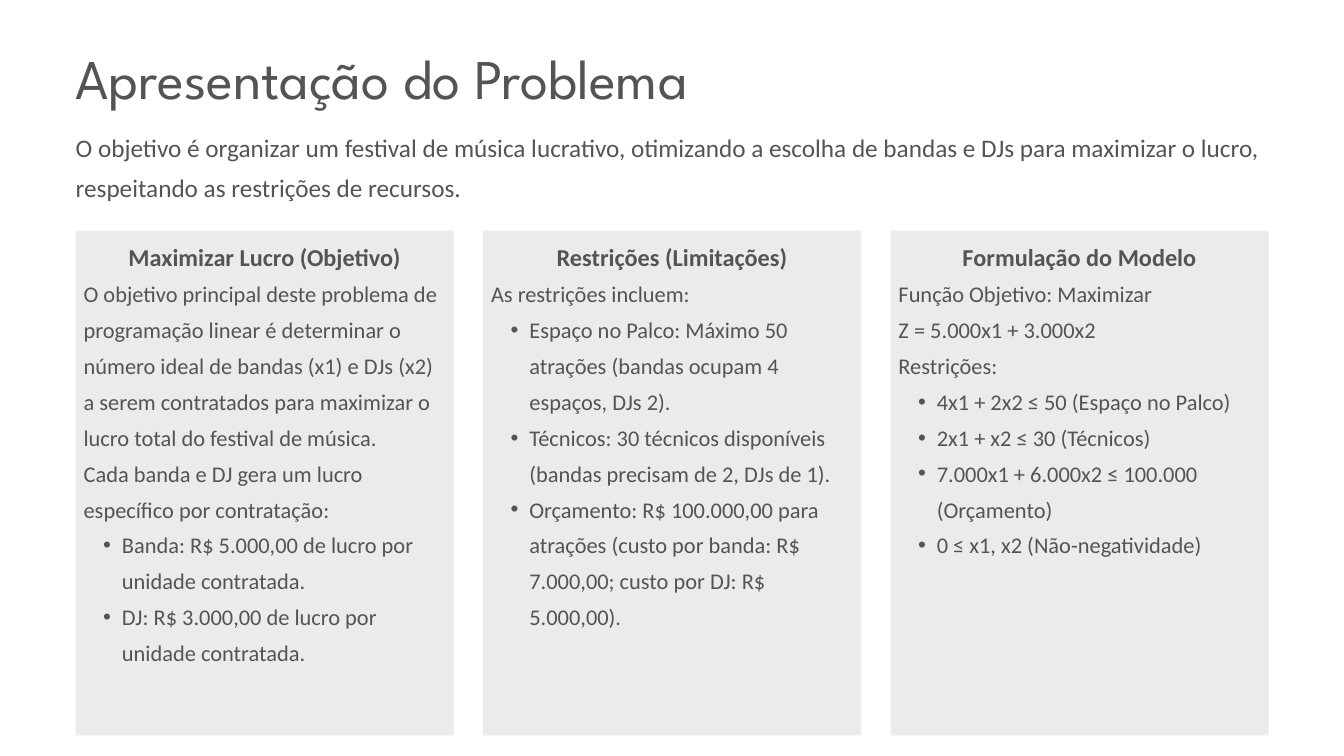
import pptx
import pptx.dml.color
import pptx.enum.shapes
import pptx.enum.text
import pptx.oxml.ns
import pptx.util
from lxml import etree
from pptx.util import Cm

INK = pptx.dml.color.RGBColor(0x54, 0x54, 0x54)
CARD = pptx.dml.color.RGBColor(0xEB, 0xEB, 0xEB)
WHITE = pptx.dml.color.RGBColor(0xFF, 0xFF, 0xFF)
ALIGN = pptx.enum.text.PP_ALIGN

MARGIN = Cm(2.86)
CARD_TOP, CARD_WIDTH, CARD_HEIGHT = Cm(8.72), Cm(14.29), Cm(19.08)
CARD_STEP = Cm(15.4)
PADDING_LEFT, PADDING_TOP = Cm(0.3), Cm(0.08)
BULLET_MARGIN, BULLET_HANGING = Cm(1.45), Cm(0.71)

TITLE = "Apresentação do Problema"
INTRO = (
    "O objetivo é organizar um festival de música lucrativo, otimizando a escolha de bandas "
    "e DJs para maximizar o lucro, respeitando as restrições de recursos."
)
COLUMNS = [
    (
        2,
        Cm(19.02),
        "Maximizar Lucro (Objetivo)",
        [
            "O objetivo principal deste problema de programação linear é determinar o número ideal "
            "de bandas (x1) e DJs (x2) a serem contratados para maximizar o lucro total do festival "
            "de música.",
            "Cada banda e DJ gera um lucro específico por contratação:",
        ],
        [
            "Banda: R$ 5.000,00 de lucro por unidade contratada.",
            "DJ: R$ 3.000,00 de lucro por unidade contratada.",
        ],
    ),
    (
        3,
        Cm(16.23),
        "Restrições (Limitações)",
        ["As restrições incluem:"],
        [
            "Espaço no Palco: Máximo 50 atrações (bandas ocupam 4 espaços, DJs 2).",
            "Técnicos: 30 técnicos disponíveis (bandas precisam de 2, DJs de 1).",
            "Orçamento: R$ 100.000,00 para atrações (custo por banda: R$ 7.000,00; "
            "custo por DJ: R$ 5.000,00).",
        ],
    ),
    (
        4,
        Cm(14.99),
        "Formulação do Modelo",
        ["Função Objetivo: Maximizar", "Z = 5.000x1 + 3.000x2", "Restrições:"],
        [
            "4x1 + 2x2 ≤ 50 (Espaço no Palco)",
            "2x1 + x2 ≤ 30 (Técnicos)",
            "7.000x1 + 6.000x2 ≤ 100.000 (Orçamento)",
            "0 ≤ x1, x2 (Não-negatividade)",
        ],
    ),
]


def place(placeholder, left, top, width, height):
    """Move a placeholder to the given box and return its bare text frame."""
    placeholder.left, placeholder.top = left, top
    placeholder.width, placeholder.height = width, height
    frame = placeholder.text_frame
    frame.margin_left = frame.margin_right = frame.margin_top = frame.margin_bottom = 0
    frame.word_wrap = True
    frame.auto_size = pptx.enum.text.MSO_AUTO_SIZE.NONE
    frame.vertical_anchor = pptx.enum.text.MSO_ANCHOR.TOP
    return frame


def write(para, text, size, leading, font="Calibri", bold=False, align=ALIGN.LEFT, bullet=False):
    """Fill one paragraph with text, spacing, an optional bullet and its font."""
    para.text = text
    para.alignment = align
    para.line_spacing = pptx.util.Pt(leading)
    para.space_before = para.space_after = pptx.util.Pt(0)
    para.level = 1 if bullet else 0
    properties = para._p.get_or_add_pPr()
    properties.set("marL", str(BULLET_MARGIN if bullet else 0))
    properties.set("indent", str(-BULLET_HANGING if bullet else 0))
    mark = etree.SubElement(properties, pptx.oxml.ns.qn("a:buChar" if bullet else "a:buNone"))
    if bullet:
        mark.set("char", "•")
    para.font.name = font
    para.font.size = pptx.util.Pt(size)
    para.font.bold = bold
    para.font.color.rgb = INK


def add_header(page, left, top):
    """Place the title and the introduction below it."""
    title = place(page.shapes.title, left, top, Cm(31.06), Cm(2.9))
    write(title.paragraphs[0], TITLE, 60, 84, font="League Spartan")
    intro = place(page.placeholders[1], left, top + Cm(3.38), Cm(45.09), Cm(4.47))
    write(intro.paragraphs[0], INTRO, 27, 43.2)


def add_column(page, body, left, top, text_height, heading, statements, items):
    """Draw one card with its heading, statements and bulleted list."""
    card = page.shapes.add_shape(
        pptx.enum.shapes.MSO_SHAPE.RECTANGLE, left, top, CARD_WIDTH, CARD_HEIGHT
    )
    card.shadow.inherit = False
    card.fill.solid()
    card.fill.fore_color.rgb = CARD
    card.line.fill.background()
    body.element.addprevious(card.element)

    frame = place(
        body, left + PADDING_LEFT, top + PADDING_TOP, CARD_WIDTH - 2 * PADDING_LEFT, text_height
    )
    write(frame.paragraphs[0], heading, 26, 41.6, bold=True, align=ALIGN.CENTER)
    for statement in statements:
        write(frame.add_paragraph(), statement, 24, 38.4)
    for item in items:
        write(frame.add_paragraph(), item, 24, 38.4, bullet=True)


def main():
    """Build the deck and save it."""
    deck = pptx.Presentation()
    deck.slide_width, deck.slide_height = Cm(50.8), Cm(28.58)
    page = deck.slides.add_slide(deck.slide_layouts.get_by_name("Comparison"))
    page.background.fill.solid()
    page.background.fill.fore_color.rgb = WHITE
    add_header(page, MARGIN, Cm(1.24))
    for number, (index, *content) in enumerate(COLUMNS):
        left = MARGIN + number * CARD_STEP
        add_column(page, page.placeholders[index], left, CARD_TOP, *content)
    deck.save("out.pptx")


if __name__ == "__main__":
    main()
